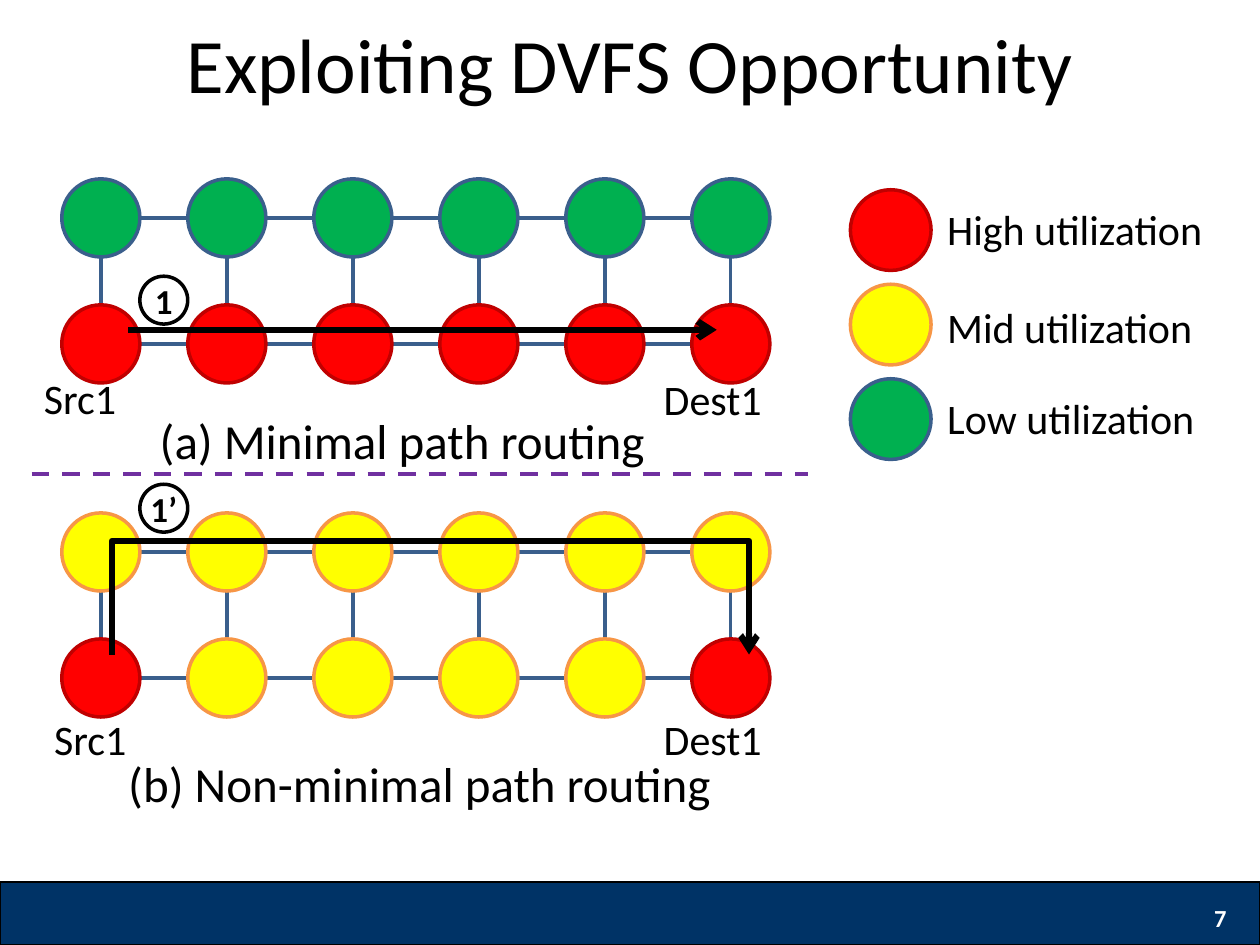
from pptx import Presentation
from pptx.dml.color import RGBColor
from pptx.enum import dml, shapes, text
from pptx.oxml.ns import qn
from pptx.util import Pt
from lxml import etree

PITCH, DOT, COLS = 72, 44.64, 6
LINK = "3A5F8C"
HIGH, MID, LOW = ("FF0000", "C00000"), ("FFFF00", "F79646"), ("00B050", LINK)


def rgb(value):
    """Return the colour for a hex string."""
    return RGBColor.from_string(value)


def style(sp, fill, line, width):
    """Set fill and outline and remove the shadow."""
    sp.shadow.inherit = False
    if fill:
        sp.fill.solid()
        sp.fill.fore_color.rgb = rgb(fill)
    else:
        sp.fill.background()
    sp.line.color.rgb = rgb(line)
    sp.line.width = Pt(width)


def shape(s, kind, x, y, w, h, fill, line, width=2):
    """Add a preset shape."""
    sp = s.shapes.add_shape(kind, Pt(x), Pt(y), Pt(w), Pt(h))
    style(sp, fill, line, width)
    return sp


def write(tf, words, size, color="000000", bold=False, align=text.PP_ALIGN.LEFT):
    """Write one run of text into a frame."""
    tf.word_wrap = True
    p = tf.paragraphs[0]
    p.alignment = align
    r = p.add_run()
    r.text = words
    r.font.name, r.font.size, r.font.bold = "Calibri", Pt(size), bold
    r.font.color.rgb = rgb(color)


def label(s, words, x, y, w, h=36, size=24, **options):
    """Add a text box and return its frame."""
    tf = s.shapes.add_textbox(Pt(x), Pt(y), Pt(w), Pt(h)).text_frame
    write(tf, words, size, **options)
    return tf


def node(s, cx, cy, colors, size=DOT):
    """Add a circle around a centre."""
    return shape(s, shapes.MSO_SHAPE.OVAL, cx - size / 2, cy - size / 2, size, size, *colors)


def straight(s, x1, y1, x2, y2, color, width):
    """Add a straight line without a shadow."""
    sp = s.shapes.add_connector(shapes.MSO_CONNECTOR.STRAIGHT, Pt(x1), Pt(y1), Pt(x2), Pt(y2))
    sp.line.color.rgb = rgb(color)
    sp.line.width = Pt(width)
    etree.SubElement(sp.element.spPr, qn("a:effectLst"))
    return sp


def route(s, points):
    """Draw an arrow through the points."""
    if len(points) == 2:
        sp = straight(s, *points[0], *points[1], "000000", 3.5)
    else:
        builder = s.shapes.build_freeform(*points[0], scale=Pt(1))
        builder.add_line_segments(points[1:], close=False)
        sp = builder.convert_to_shape()
        style(sp, None, "000000", 3.5)
    ln = sp.element.spPr.find(qn("a:ln"))
    etree.SubElement(ln, qn("a:round"))
    etree.SubElement(ln, qn("a:tailEnd"), type="arrow")


def mesh(s, x, y, rows, badge, badge_dy, src, dest, caption, path):
    """Draw a two-row mesh with its labels and route; (x, y) is its first node."""
    for col in range(COLS - 1):
        shape(s, shapes.MSO_SHAPE.RECTANGLE, x + col * PITCH, y, PITCH, PITCH, None, LINK)
    for row, colors in enumerate(rows):
        for col, pair in enumerate(colors):
            node(s, x + col * PITCH, y + row * PITCH, pair)
    tf = node(s, x + PITCH / 2, y + badge_dy, (None, "000000"), 27.36).text_frame
    tf.margin_left = tf.margin_right = tf.margin_top = tf.margin_bottom = 0
    tf.vertical_anchor = text.MSO_ANCHOR.MIDDLE
    write(tf, badge, 20, bold=True, align=text.PP_ALIGN.CENTER)
    label(s, "Src1", x + src[0], y + src[1], 70)
    label(s, "Dest1", x + dest[0], y + dest[1], 84)
    words, dx, dy, w = caption
    label(s, words, x + dx, y + dy, w, 41, 28)
    route(s, [(x + px, y + py) for px, py in path])


def legend(s, x, y):
    """Draw the utilization key; (x, y) is its first circle's centre."""
    entries = [("High", HIGH, 4), ("Mid", MID, 6), ("Low", LOW, 4.5)]
    for i, (level, colors, drop) in enumerate(entries):
        cy = y + i * 54
        node(s, x, cy, colors, 46.08)
        label(s, f"{level} utilization", x + 25.2, cy - 23 + drop, 174)


def title(s, x, y, w, h):
    """Place the title."""
    sp = s.shapes.title
    sp.left, sp.top, sp.width, sp.height = Pt(x), Pt(y), Pt(w), Pt(h)
    sp.text_frame.vertical_anchor = text.MSO_ANCHOR.MIDDLE
    write(sp.text_frame, "Exploiting DVFS Opportunity", 44, align=text.PP_ALIGN.CENTER)


def footer(s, x, y, w, h):
    """Draw the bottom bar with the page number."""
    shape(s, shapes.MSO_SHAPE.RECTANGLE, x, y, w, h, "003366", "000000", 0.75)
    tf = label(s, "7", x + w - 180, y + 6, 168, 28.8, 14,
               color="FFFFFF", bold=True, align=text.PP_ALIGN.RIGHT)
    tf.vertical_anchor = text.MSO_ANCHOR.MIDDLE


def main():
    """Build and save the slide."""
    prs = Presentation()
    prs.slide_width, prs.slide_height = Pt(720), Pt(540)
    s = prs.slides.add_slide(prs.slide_layouts[5])
    footer(s, 0, 504, 720, 36)
    title(s, 18, 12, 684, 48)
    legend(s, 509, 131.5)
    mesh(s, 57.6, 124.5, [[LOW] * COLS, [HIGH] * COLS], "1", 47,
         (-39.6, 85), (314.6, 85.7), ("(a) Minimal path routing", 26.6, 106.6, 324),
         [(15.8, 64), (352, 64)])
    divider = straight(s, 18, 270.7, 462, 270.7, "7030A0", 2.5)
    divider.line.dash_style = dml.MSO_LINE.DASH
    mesh(s, 57.6, 315.4, [[MID] * COLS, [HIGH] + [MID] * (COLS - 2) + [HIGH]], "1’", -25,
         (-33.8, 88.5), (314.6, 88.5), ("(b) Non-minimal path routing", 8.6, 111.6, 378),
         [(6.5, 59), (6.5, -6.5), (370, -6.5), (370, 59)])
    prs.save("out.pptx")


if __name__ == "__main__":
    main()
